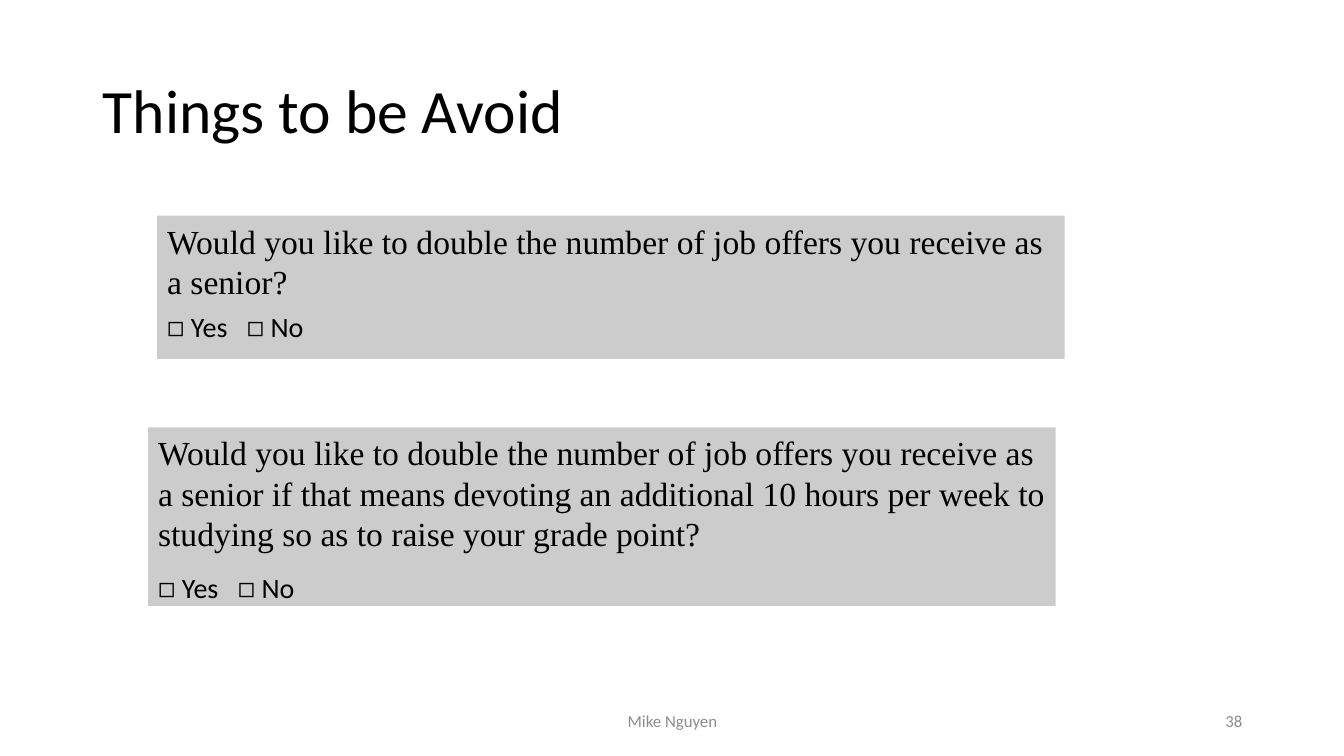
import dataclasses
import pptx
import pptx.dml.color
import pptx.enum.shapes
import pptx.enum.text
import pptx.util
from lxml import etree
from pptx.oxml.ns import qn
from pptx.util import Inches

ALIGN = pptx.enum.text.PP_ALIGN
ANCHOR = pptx.enum.text.MSO_ANCHOR


@dataclasses.dataclass(frozen=True)
class Theme:
    sans: str = "Calibri"
    serif: str = "Times New Roman"
    ink: str = "000000"
    muted: str = "8C8C8C"
    panel: str = "CCCCCC"
    title_size: int = 44
    question_size: int = 24
    answer_size: int = 20
    footer_size: int = 12


THEME = Theme()
ANSWERS = "◻ Yes\t◻ No"
ANSWER_TAB = Inches(0.79)


def place(shape, left, top, width, height):
    shape.left, shape.top = Inches(left), Inches(top)
    shape.width, shape.height = Inches(width), Inches(height)


def format_para(para, size, font, color, align=ALIGN.LEFT):
    para.alignment = align
    for span in para.runs:
        span.font.size = pptx.util.Pt(size)
        span.font.name = font
        span.font.color.rgb = pptx.dml.color.RGBColor.from_string(color)


def add_tab_stop(para, position):
    properties = para._p.get_or_add_pPr()
    stops = etree.SubElement(properties, qn("a:tabLst"))
    etree.SubElement(stops, qn("a:tab"), pos=str(int(position)), algn="l")


def add_title(page, text):
    title = page.shapes.title
    place(title, 0.92, 0.4, 11.5, 1.45)
    frame = title.text_frame
    frame.text = text
    frame.word_wrap = True
    frame.vertical_anchor = ANCHOR.MIDDLE
    para = frame.paragraphs[0]
    para.line_spacing = 0.9
    format_para(para, THEME.title_size, THEME.sans, THEME.ink)


def add_footer(page, text, left, width, align):
    box = page.shapes.add_textbox(Inches(left), Inches(6.95), Inches(width), Inches(0.4))
    frame = box.text_frame
    frame.text = text
    frame.word_wrap = True
    frame.vertical_anchor = ANCHOR.MIDDLE
    format_para(frame.paragraphs[0], THEME.footer_size, THEME.sans, THEME.muted, align)


def add_question(page, text, left, top, height, answer_gap):
    box = page.shapes.add_shape(
        pptx.enum.shapes.MSO_SHAPE.RECTANGLE,
        Inches(left), Inches(top), Inches(9), Inches(height),
    )
    box.shadow.inherit = False
    box.fill.solid()
    box.fill.fore_color.rgb = pptx.dml.color.RGBColor.from_string(THEME.panel)
    box.line.fill.background()
    frame = box.text_frame
    frame.word_wrap = True
    frame.vertical_anchor = ANCHOR.TOP
    question, answers = frame.paragraphs[0], frame.add_paragraph()
    question.text, answers.text = text, ANSWERS
    format_para(question, THEME.question_size, THEME.serif, THEME.ink)
    format_para(answers, THEME.answer_size, THEME.sans, THEME.ink)
    for para, gap in ((question, 6), (answers, answer_gap)):
        para.space_before = pptx.util.Pt(gap)
        para.space_after = pptx.util.Pt(6)
    add_tab_stop(answers, ANSWER_TAB)


def main():
    deck = pptx.Presentation()
    deck.slide_width, deck.slide_height = Inches(13.33), Inches(7.5)
    page = deck.slides.add_slide(deck.slide_layouts.get_by_name("Title Only"))
    add_title(page, "Things to be Avoid")
    add_footer(page, "Mike Nguyen", 4.42, 4.5, ALIGN.CENTER)
    add_footer(page, "38", 9.42, 3, ALIGN.RIGHT)
    offer = "Would you like to double the number of job offers you receive as a senior"
    condition = (
        " if that means devoting an additional 10 hours per week to studying"
        " so as to raise your grade point"
    )
    add_question(page, f"{offer}?", 1.56, 2.14, 1.42, answer_gap=0)
    add_question(page, f"{offer}{condition}?", 1.47, 4.24, 1.77, answer_gap=6)
    deck.save("out.pptx")


if __name__ == "__main__":
    main()
